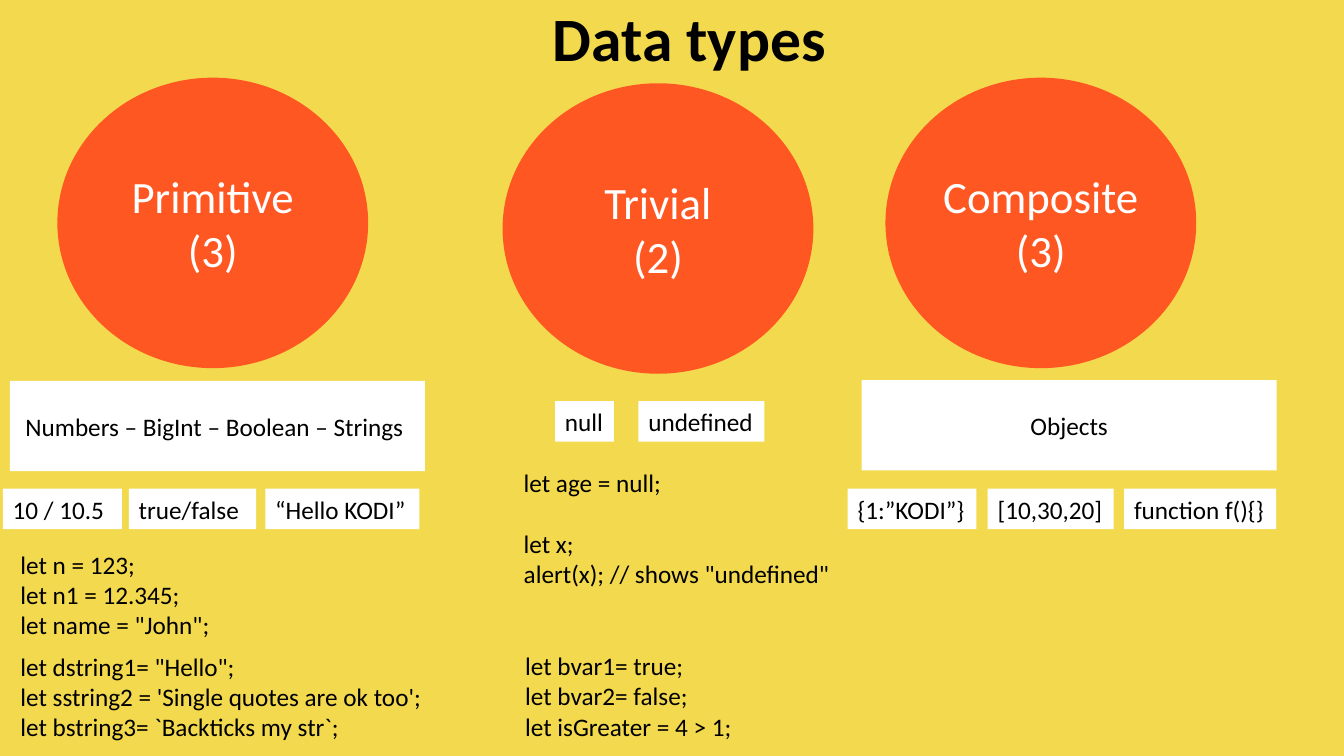
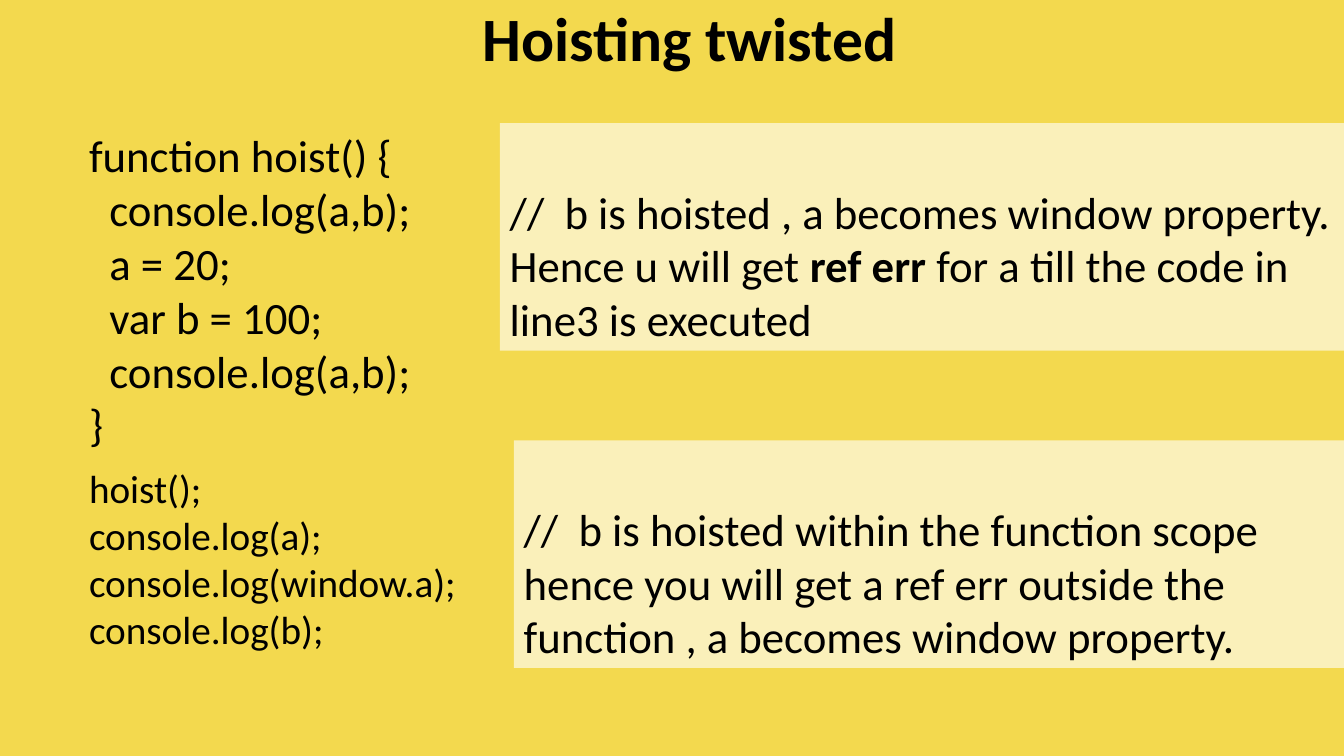
import pptx
import pptx.util
import pptx.dml.color
import pptx.enum.shapes
import pptx.enum.text
import pptx.oxml
import pptx.oxml.ns

Pt = pptx.util.Pt
Shape = pptx.enum.shapes.MSO_SHAPE
Anchor = pptx.enum.text.MSO_ANCHOR
Align = pptx.enum.text.PP_ALIGN
COLORS = {"back": "F3D94E", "disc": "FF5722", "panel": "FFFFFF",
          "light": "FFFFFF", "ink": "000000"}


def color(name):
    return pptx.dml.color.RGBColor.from_string(COLORS[name])


class Deck:
    font = "Calibri"

    def __init__(self):
        self.prs = pptx.Presentation()
        self.prs.slide_width, self.prs.slide_height = Pt(960), Pt(540)
        back = self.prs.slide_master.background.fill
        back.solid()
        back.fore_color.rgb = color("back")
        self.slide = None

    def label(self, frame, lines, size, align=Align.LEFT, ink="ink", bold=False):
        frame.word_wrap = True
        frame.text = "\n".join(lines)
        for para in frame.paragraphs:
            para.alignment = align
            for run in para.runs:
                self.style(run, size, ink, bold)

    def style(self, run, size, ink="ink", bold=False):
        run.font.name = self.font
        run.font.size = Pt(size)
        run.font.bold = bold
        run.font.color.rgb = color(ink)

    def page(self, title):
        self.slide = self.prs.slides.add_slide(self.prs.slide_layouts[5])
        head = self.slide.shapes.title
        head.left, head.top, head.width, head.height = map(Pt, (78.5, 0, 828, 60))
        frame = head.text_frame
        frame.auto_size = pptx.enum.text.MSO_AUTO_SIZE.NONE
        frame.vertical_anchor = Anchor.MIDDLE
        self.label(frame, [title], 44, Align.CENTER, bold=True)
        frame.paragraphs[0].line_spacing = 0.9

    def block(self, kind, fill, box):
        shape = self.slide.shapes.add_shape(kind, *map(Pt, box))
        shape.shadow.inherit = False
        shape.fill.solid()
        shape.fill.fore_color.rgb = color(fill)
        shape.line.fill.background()
        return shape

    def disc(self, x, y, lines):
        shape = self.block(Shape.OVAL, "disc", (x, y, 222, 207.5))
        self.label(shape.text_frame, lines, 32, Align.CENTER, "light")

    def panel(self, x, y, text):
        shape = self.block(Shape.RECTANGLE, "panel", (x, y, 296.5, 64.5))
        self.label(shape.text_frame, [text], 18, Align.CENTER)

    def tag(self, x, y, width, text):
        shape = self.block(Shape.RECTANGLE, "panel", (x, y, width, 29))
        shape.text_frame.margin_right = 0
        self.label(shape.text_frame, [text], 18)

    def code(self, box, lines, size=18, gaps=None, inset=()):
        frame = self.slide.shapes.add_textbox(*map(Pt, box)).text_frame
        self.label(frame, lines, size)
        for row, gap in (gaps or {}).items():
            frame.paragraphs[row].space_before = Pt(gap)
        for row in inset:
            props = frame.paragraphs[row]._p.get_or_add_pPr()
            props.set("marL", str(int(Pt(14.5))))

    def note(self, x, y, lines, strong=None):
        shape = self.block(Shape.RECTANGLE, "panel", (x, y, 960 - x, 162.5))
        tint = shape._element.spPr.find(".//" + pptx.oxml.ns.qn("a:srgbClr"))
        tint.append(pptx.oxml.parse_xml(
            '<a:alpha xmlns:a="http://schemas.openxmlformats.org/'
            'drawingml/2006/main" val="61000"/>'))
        frame = shape.text_frame
        frame.vertical_anchor = Anchor.BOTTOM
        self.label(frame, lines, 32)
        if strong:
            para = frame.paragraphs[-1]
            parts = para.text.partition(strong)
            para.text = parts[0]
            for part in parts[1:]:
                para.add_run().text = part
            for run in para.runs:
                self.style(run, 32, bold=run.text == strong)


def types(deck):
    deck.page("Data types")
    for x, y, name, count in ((41, 55.5, "Primitive", 3),
                              (632.5, 55.5, "Composite", 3),
                              (359, 59.5, "Trivial", 2)):
        deck.disc(x, y, [name, f"({count})"])
    deck.panel(7, 272, "Numbers – BigInt – Boolean – Strings ")
    deck.panel(615.5, 271.5, "Objects")
    for x, y, width, text in ((2, 349, 85, "10 / 10.5"),
                              (92, 349, 91, "true/false"),
                              (189.5, 349, 110, "“Hello KODI”"),
                              (396.5, 286.5, 42, "null"),
                              (456, 286.5, 90, "undefined"),
                              (605.5, 349, 92, "{1:”KODI”}"),
                              (705.5, 349, 90, "[10,30,20]"),
                              (803, 349, 108.5, "function f(){}")):
        deck.tag(x, y, width, text)
    deck.code((367, 330.5, 240, 94),
              ["let age = null;", "let x;", 'alert(x); // shows "undefined"'],
              gaps={1: 21.5})
    deck.code((7.5, 388.5, 151, 73),
              ["let n = 123;", "let n1 = 12.345;", 'let name = "John";'])
    deck.code((7.5, 461.5, 312, 73),
              ['let dstring1= "Hello";',
               "let sstring2 = 'Single quotes are ok too';",
               "let bstring3= `Backticks my str`;"])
    deck.code((368, 461, 204, 73),
              ["let bvar1= true;", "let bvar2= false;", "let isGreater = 4 > 1;"])


def hoist(deck):
    deck.page("Hoisting twisted")
    log = "console.log(a,b);"
    deck.code((56.5, 88, 290, 240),
              ["function hoist() {", log, "a = 20;", "var b = 100;", log, "}"],
              32, inset=range(1, 5))
    deck.code((56.5, 328, 300, 143),
              ["hoist();", "console.log(a);", "console.log(window.a);",
               "console.log(b);"], 28)
    deck.note(357, 88,
              ["//  b is hoisted , a becomes window property.",
               "Hence u will get ref err for a till the code in line3 is executed"],
              "ref err ")
    deck.note(367, 314.5,
              ["//  b is hoisted within the function scope hence you will get "
               "a ref err outside the function , a becomes window property."])


def main():
    deck = Deck()
    types(deck)
    hoist(deck)
    deck.prs.save("out.pptx")


if __name__ == "__main__":
    main()
